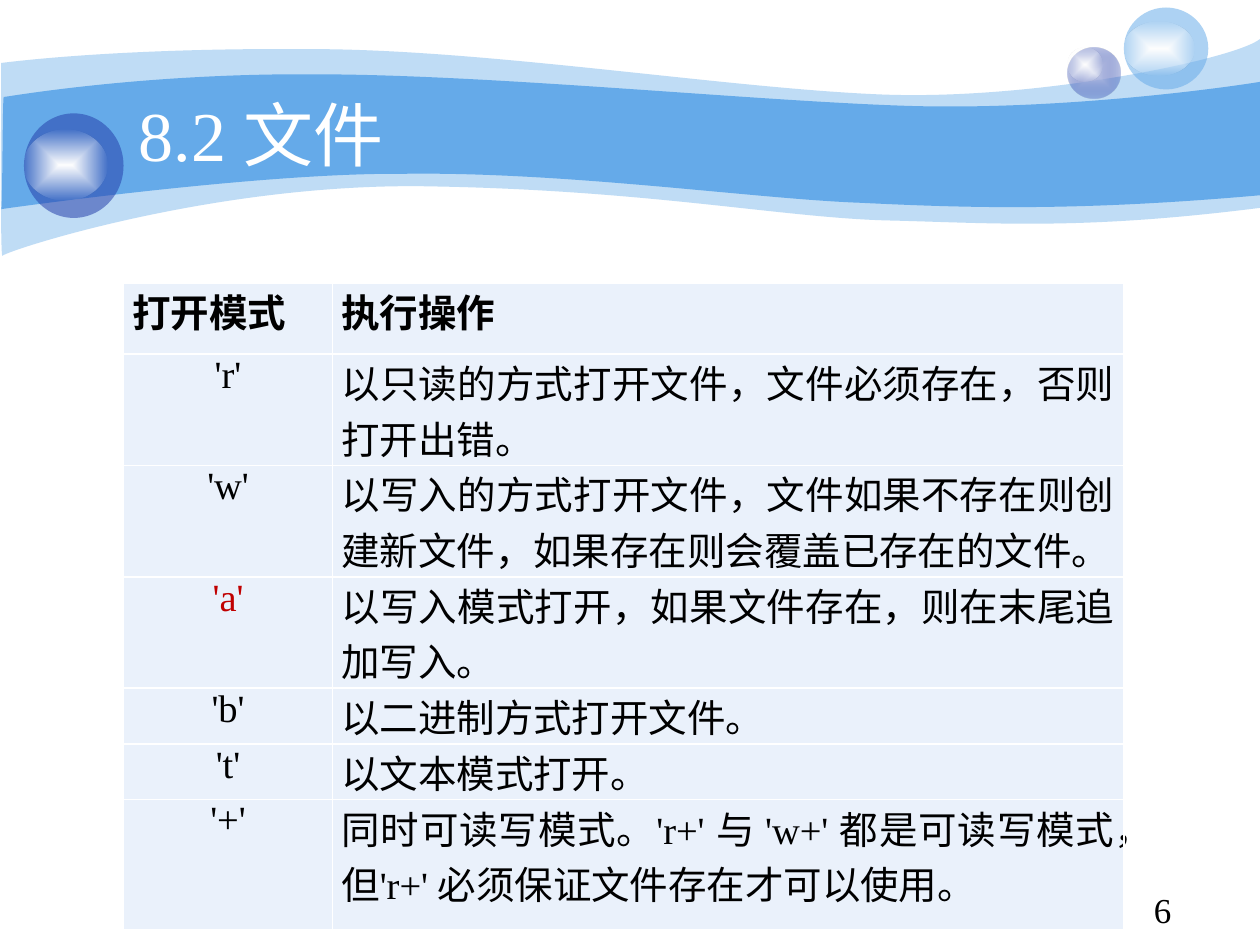
"""Build a slide with a table of file opening modes under a wavy blue banner."""
import lxml.etree
import pptx
import pptx.dml.color
import pptx.enum.shapes
import pptx.enum.text
import pptx.oxml.ns
import pptx.util

Inches = pptx.util.Inches
RGBColor = pptx.dml.color.RGBColor
Align = pptx.enum.text.PP_ALIGN
qn = pptx.oxml.ns.qn

SKY = RGBColor(0x65, 0xAA, 0xE9)
NAVY = RGBColor(0x23, 0x3D, 0xA9)
LAVENDER = RGBColor(0xC7, 0xCE, 0xE9)
PALE = RGBColor(0xEA, 0xF1, 0xFB)
WHITE = RGBColor(0xFF, 0xFF, 0xFF)
BLACK = RGBColor(0, 0, 0)
RED = RGBColor(0xC0, 0, 0)
CHINESE_FONT = "Noto Sans CJK SC"
LATIN_FONT = "Times New Roman"


def paint(shape, *stops):
    """Fill with one (colour, opacity) pair, or a centred gradient of two."""
    shape.shadow.inherit = False
    shape.line.fill.background()
    fill = lxml.etree.Element(qn("a:gradFill" if len(stops) > 1 else "a:solidFill"))
    parent = fill
    if len(stops) > 1:
        stop_list = lxml.etree.SubElement(fill, qn("a:gsLst"))
    for index, (color, opacity) in enumerate(stops):
        if len(stops) > 1:
            parent = lxml.etree.SubElement(stop_list, qn("a:gs"), pos=str(index * 100000))
        color_element = lxml.etree.SubElement(parent, qn("a:srgbClr"), val=str(color))
        lxml.etree.SubElement(color_element, qn("a:alpha"), val=str(opacity * 1000))
    if len(stops) > 1:
        gradient_path = lxml.etree.SubElement(fill, qn("a:path"), path="shape")
        lxml.etree.SubElement(gradient_path, qn("a:fillToRect"),
                              l="50000", t="50000", r="50000", b="50000")
    shape.element.spPr.insert(2, fill)


def format_run(run, size, color, bold=False):
    """Set the font of a run by its script."""
    chinese = any(character > "\u2e80" for character in run.text)
    run.font.name = CHINESE_FONT if chinese else LATIN_FONT
    run.font.size = pptx.util.Pt(size)
    run.font.bold = bold
    run.font.color.rgb = color
    latin = run.font._element.find(qn("a:latin"))
    latin.addnext(lxml.etree.Element(qn("a:ea"), typeface=CHINESE_FONT))


presentation = pptx.Presentation()
presentation.slide_width = Inches(10)
presentation.slide_height = Inches(7.5)
slide = presentation.slides.add_slide(presentation.slide_layouts[5])
shapes = slide.shapes

HUNDREDTH = Inches(0.01)
WAVES = [
    (41, (1, 50),
     [(25, 47, 109, 38, 247, 39), (386, 39, 576, 70, 699, 75),
      (822, 80, 980, 47, 1000, 31), (1000, 165),
      (858, 183, 788, 177, 705, 175), (622, 173, 516, 151, 344, 148),
      (173, 144, 5, 199, 2, 203), (0, 208, 1, 75, 1, 50)]),
    (100, (3, 77),
     [(5, 77, 112, 58, 250, 59), (388, 59, 596, 80, 719, 84),
      (842, 88, 976, 69, 1000, 65), (1000, 155),
      (853, 168, 766, 165, 683, 161), (600, 158, 448, 136, 319, 138),
      (205, 137, 0, 166, 1, 166), (2, 166, 2, 77, 3, 77)]),
]
for opacity, start, segments in WAVES:
    builder = shapes.build_freeform(*start, scale=HUNDREDTH)
    anchors = [segment[-2:] for segment in segments]
    builder.add_line_segments(anchors, close=True)
    wave = builder.convert_to_shape()
    left = min(x for x, y in anchors + [start])
    top = min(y for x, y in anchors + [start])
    lines = wave.element.spPr.findall(".//" + qn("a:lnTo"))
    for line, segment in zip(lines, segments):
        if len(segment) == 2:
            continue
        curve = lxml.etree.Element(qn("a:cubicBezTo"))
        for x, y in zip(segment[::2], segment[1::2]):
            lxml.etree.SubElement(curve, qn("a:pt"), x=str(x - left), y=str(y - top))
        line.getparent().replace(line, curve)
    paint(wave, (SKY, opacity))

GLOW = [(WHITE, 100), (WHITE, 0)]
BUBBLES = [
    ((8.47, 0.38, 0.42, 0.4), [(LAVENDER, 100), (NAVY, 31)]),
    ((8.47, 0.38, 0.28, 0.27), GLOW),
    ((8.92, 0.06, 0.67, 0.65), [(SKY, 53)]),
    ((8.92, 0.17, 0.56, 0.43), GLOW),
    ((0.19, 0.9, 0.79, 0.83), [(NAVY, 53)]),
    ((0.19, 1.03, 0.66, 0.56), GLOW),
]
for box, stops in BUBBLES:
    bubble = shapes.add_shape(pptx.enum.shapes.MSO_SHAPE.OVAL, *map(Inches, box))
    paint(bubble, *stops)

number_box = shapes.add_textbox(Inches(9.06), Inches(7), Inches(0.53), Inches(0.44))
number_box.text_frame.text = "6"
format_run(number_box.text_frame.paragraphs[0].runs[0], 20, BLACK)

title = shapes.title
title.left, title.top, title.width, title.height = map(Inches, (1, 0.75, 8.08, 0.62))
title.text_frame.text = "8.2 文件"
title.text_frame.vertical_anchor = pptx.enum.text.MSO_ANCHOR.MIDDLE
title.text_frame.paragraphs[0].alignment = Align.LEFT
title_run = title.text_frame.paragraphs[0].runs[0]
format_run(title_run, 40, WHITE)
title_run.font.name = LATIN_FONT
shapes.element.append(title.element)

ROWS = [
    (0.56, "打开模式", ["执行操作"]),
    (0.34, "'r'", ["以只读的方式打开文件，文件必须存在，否则打开出错。"]),
    (0.69, "'w'", ["以写入的方式打开文件，文件如果不存在则创建新文件，如果存在则会覆盖已存在的文件。"]),
    (0.34, "'a'", ["以写入模式打开，如果文件存在，则在末尾追加写入。"]),
    (0.34, "'b'", ["以二进制方式打开文件。"]),
    (0.34, "'t'", ["以文本模式打开。"]),
    (1.03, "'+'", ["同时可读写模式。", "'r+' ", "与 ", "'w+' ", "都是可读写模式，但",
                   "'r+' ", "必须保证文件存在才可以使用。"]),
]
frame = shapes.add_table(len(ROWS), 2, Inches(0.98), Inches(2.25), Inches(7.95), Inches(4.53))
table = frame.table
table.first_row = False
table.horz_banding = False
table.columns[0].width = Inches(1.66)
table.columns[1].width = Inches(6.28)
for row_index, (height, mode, description) in enumerate(ROWS):
    table.rows[row_index].height = Inches(height)
    for column_index, texts in enumerate(([mode], description)):
        cell = table.cell(row_index, column_index)
        cell.margin_left = cell.margin_right = Inches(0.07)
        cell.margin_top = cell.margin_bottom = 0
        cell.fill.solid()
        cell.fill.fore_color.rgb = PALE
        properties = cell._tc.get_or_add_tcPr()
        for position, side in enumerate(("a:lnL", "a:lnR", "a:lnT", "a:lnB")):
            border = lxml.etree.Element(qn(side), w=str(pptx.util.Pt(1)))
            border_fill = lxml.etree.SubElement(border, qn("a:solidFill"))
            lxml.etree.SubElement(border_fill, qn("a:srgbClr"), val=str(WHITE))
            properties.insert(position, border)
        paragraph = cell.text_frame.paragraphs[0]
        if row_index == 0:
            paragraph.alignment = Align.LEFT
        else:
            paragraph.alignment = (Align.CENTER, Align.JUSTIFY)[column_index]
        for text in texts:
            run = paragraph.add_run()
            run.text = text
            format_run(run, 22, RED if text == "'a'" else BLACK, row_index == 0)
frame.height = Inches(4.53)

presentation.save("out.pptx")
